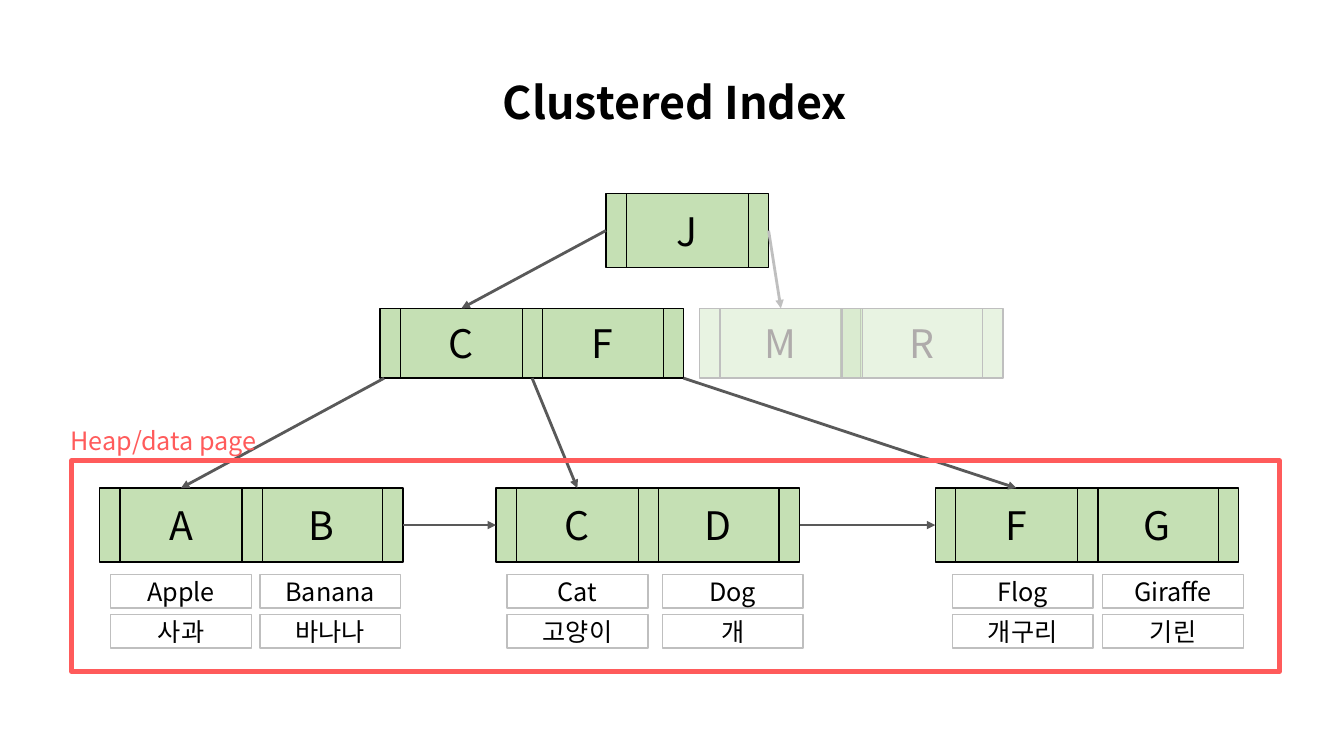
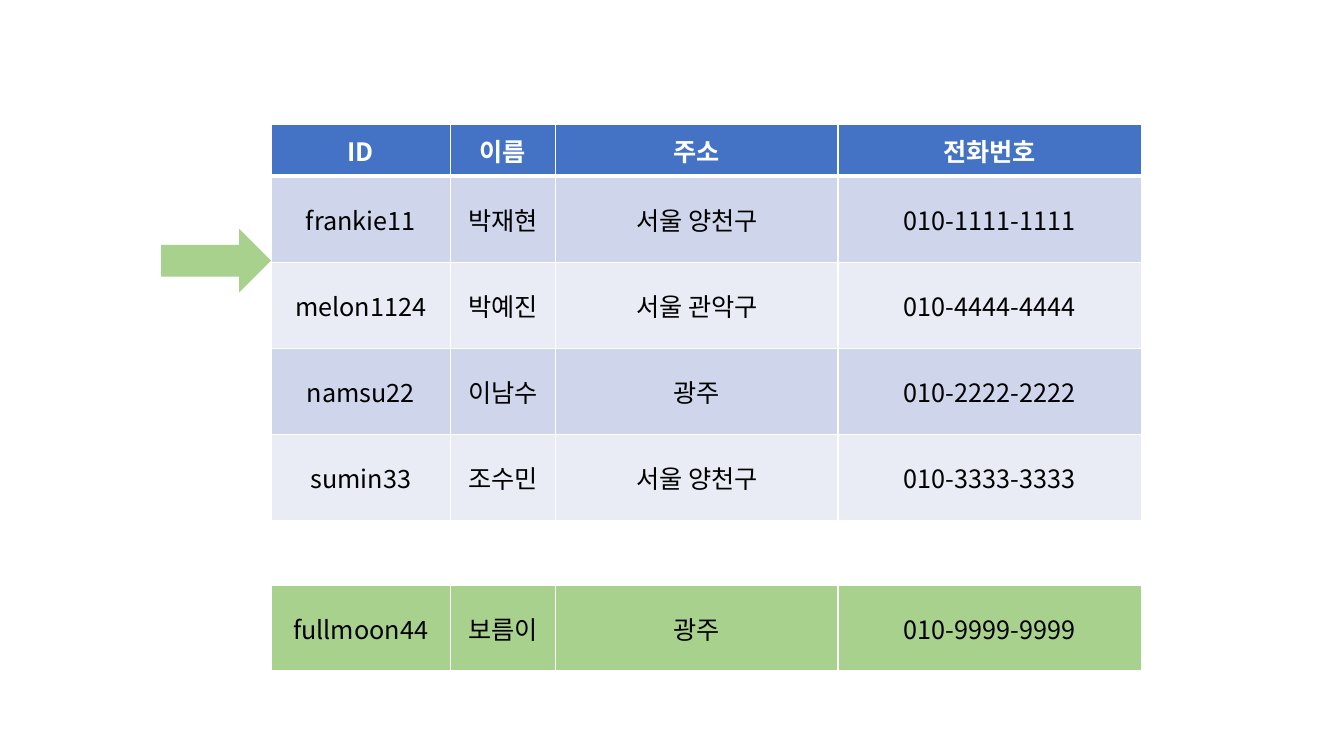
from dataclasses import dataclass

from lxml.etree import SubElement
from pptx import Presentation
from pptx.dml.color import RGBColor
from pptx.enum.shapes import MSO_CONNECTOR, MSO_SHAPE
from pptx.enum.text import MSO_ANCHOR, MSO_AUTO_SIZE, PP_ALIGN
from pptx.oxml.ns import qn
from pptx.util import Cm, Pt

BOX = MSO_SHAPE.RECTANGLE
NODE = MSO_SHAPE.FLOWCHART_PREDEFINED_PROCESS
ARROW = MSO_SHAPE.RIGHT_ARROW
STRAIGHT = MSO_CONNECTOR.STRAIGHT
MIDDLE = MSO_ANCHOR.MIDDLE
CENTER = PP_ALIGN.CENTER
FIXED = MSO_AUTO_SIZE.NONE
TOP, LEFT, BOTTOM, RIGHT = range(4)


@dataclass(frozen=True)
class Theme:
    font: str = "Noto Sans CJK KR"
    ink: str = "000000"
    paper: str = "FFFFFF"
    node: str = "C5E0B4"
    faint: str = "AFABAB"
    edge: str = "BFBFBF"
    link: str = "595959"
    alert: str = "FF5B5B"
    head: str = "4472C4"
    bands: tuple = ("CFD5EA", "E9EBF5")
    fresh: str = "A9D18E"
    title: int = 32
    key: int = 28
    body: int = 18


THEME = Theme()
WIDE, PITCH = 4.1, 3.55
MID_TOP, MID_TALL = 7.77, 1.76
LEAF_TOP, TALL = 12.3, 1.86
COLS = (4.52, 2.65, 7.12, 7.64)
GRID_LEFT, ROW_TALL = 6.83, 2.17

LEAVES = (
    (2.51, "AB", ((2.79, "Apple", "사과"), (6.55, "Banana", "바나나"))),
    (12.5, "CD", ((12.78, "Cat", "고양이"), (16.69, "Dog", "개"))),
    (23.57, "FG", ((24, "Flog", "개구리"), (27.79, "Giraffe", "기린"))),
)
PEOPLE = (
    ("ID", "이름", "주소", "전화번호"),
    ("frankie11", "박재현", "서울 양천구", "010-1111-1111"),
    ("melon1124", "박예진", "서울 관악구", "010-4444-4444"),
    ("namsu22", "이남수", "광주", "010-2222-2222"),
    ("sumin33", "조수민", "서울 양천구", "010-3333-3333"),
)
ADDED = (("fullmoon44", "보름이", "광주", "010-9999-9999"),)


def rgb(code):
    return RGBColor.from_string(code)


def write(frame, text, size=THEME.body, color=THEME.ink, bold=False, space=None):
    frame.word_wrap = True
    frame.vertical_anchor = MIDDLE
    para = frame.paragraphs[0]
    para.alignment = CENTER
    para.line_spacing = space
    run = para.add_run()
    run.text = text
    font = run.font
    font.size, font.bold, font.name = Pt(size), bold, THEME.font
    font.color.rgb = rgb(color)
    SubElement(run._r.get_or_add_rPr(), qn("a:ea"), typeface=THEME.font)


def add_title(slide, text):
    title = slide.shapes.title
    title.left, title.top = Cm(12.29), Cm(1.37)
    title.width, title.height = Cm(9.45), Cm(2.54)
    title.text_frame.auto_size = FIXED
    write(title.text_frame, text, size=THEME.title, bold=True, space=0.9)


def add_shape(slide, kind, area, fill=None, line=None, weight=1, alpha=None):
    shape = slide.shapes.add_shape(kind, *map(Cm, area))
    shape.shadow.inherit = False
    if fill:
        shape.fill.solid()
        shape.fill.fore_color.rgb = rgb(fill)
    else:
        shape.fill.background()
    if alpha:
        tint = shape._element.spPr.find(qn("a:solidFill"))[0]
        SubElement(tint, qn("a:alpha"), val=str(alpha * 1000))
    if line:
        shape.line.color.rgb = rgb(line)
        shape.line.width = Pt(weight)
    else:
        shape.line.fill.background()
    return shape


def add_node(slide, key, left, top, tall, faint=False):
    shape = add_shape(slide, NODE, (left, top, WIDE, tall), fill=THEME.node,
                      line=THEME.edge if faint else THEME.ink,
                      alpha=38 if faint else None)
    write(shape.text_frame, key, size=THEME.key,
          color=THEME.faint if faint else THEME.ink)
    return shape


def add_pair(slide, keys, left, top, tall, faint=False):
    last = add_node(slide, keys[1], left + PITCH, top, tall, faint)
    return add_node(slide, keys[0], left, top, tall, faint), last


def add_card(slide, text, left, top):
    card = add_shape(slide, BOX, (left, top, 3.55, 0.84),
                     fill=THEME.paper, line=THEME.edge)
    write(card.text_frame, text)


def add_link(slide, start, goal, site=TOP, color=THEME.link):
    link = slide.shapes.add_connector(STRAIGHT, *start, *start)
    link.end_connect(goal, site)
    link.line.color.rgb = rgb(color)
    link.line.width = Pt(2)
    SubElement(link.line._get_or_add_ln(), qn("a:tailEnd"), type="triangle")
    SubElement(link._element.spPr, qn("a:effectLst"))
    return link


def join(slide, source, side, goal, site=TOP, color=THEME.link):
    link = add_link(slide, (source.left, source.top), goal, site, color)
    link.begin_connect(source, side)


def set_edge(cell, name, weight):
    line = SubElement(cell._tc.get_or_add_tcPr(), qn("a:" + name),
                      w=str(Pt(weight)))
    fill = SubElement(line, qn("a:solidFill"))
    SubElement(fill, qn("a:srgbClr"), val=THEME.paper)


def add_grid(slide, rows, top, talls, fills, head=False):
    area = (GRID_LEFT, top, sum(COLS), sum(talls))
    grid = slide.shapes.add_table(len(rows), len(COLS), *map(Cm, area)).table
    grid.first_row = head
    grid.horz_banding = False
    for col, wide in zip(grid.columns, COLS):
        col.width = Cm(wide)
    for num, texts in enumerate(rows):
        grid.rows[num].height = Cm(talls[num])
        first = head and num == 0
        edges = {"lnL": 1, "lnR": 1, "lnT": 3 if num == 1 else 1,
                 "lnB": 3 if num == 0 else 1}
        for cell, text in zip(grid.rows[num].cells, texts):
            for name, weight in edges.items():
                set_edge(cell, name, weight)
            cell.fill.solid()
            cell.fill.fore_color.rgb = rgb(fills[num])
            cell.vertical_anchor = MIDDLE
            write(cell.text_frame, text, bold=first,
                  color=THEME.paper if first else THEME.ink)


def draw_tree(slide):
    add_title(slide, "Clustered Index")
    root = add_node(slide, "J", 15.27, 4.88, TALL)
    near, last = add_pair(slide, "CF", 9.58, MID_TOP, MID_TALL)
    far, _ = add_pair(slide, "MR", 17.63, MID_TOP, MID_TALL, faint=True)
    pairs = []
    for left, keys, cards in LEAVES:
        pairs.append(add_pair(slide, keys, left, LEAF_TOP, TALL))
        for spot, *words in cards:
            for num, word in enumerate(words):
                add_card(slide, word, spot, 14.48 + 1.01 * num)
    join(slide, root, LEFT, near)
    join(slide, root, RIGHT, far, color=THEME.edge)
    base = near.top + near.height
    starts = (near.left + Cm(0.1), last.left + Cm(0.28), last.left + last.width)
    for start, pair in zip(starts, pairs):
        add_link(slide, (start, base), pair[0])
    for prior, after in zip(pairs, pairs[1:]):
        join(slide, prior[1], RIGHT, after[0], LEFT)
    add_shape(slide, BOX, (1.8, 11.61, 30.45, 5.31),
              line=THEME.alert, weight=3.5)
    label = slide.shapes.add_textbox(*map(Cm, (1.24, 10.67, 5.77, 0.86)))
    write(label.text_frame, "Heap/data page", color=THEME.alert)


def draw_rows(slide):
    add_grid(slide, PEOPLE, 3.14, (1.3,) + (ROW_TALL,) * 4,
             (THEME.head,) + THEME.bands * 2, head=True)
    add_grid(slide, ADDED, 14.76, (ROW_TALL,), (THEME.fresh,))
    add_shape(slide, ARROW, (4.06, 5.77, 2.77, 1.6), fill=THEME.fresh)


def main():
    deck = Presentation()
    deck.slide_width, deck.slide_height = Cm(33.87), Cm(19.05)
    draw_tree(deck.slides.add_slide(deck.slide_layouts[5]))
    draw_rows(deck.slides.add_slide(deck.slide_layouts[6]))
    deck.save("out.pptx")


if __name__ == "__main__":
    main()
